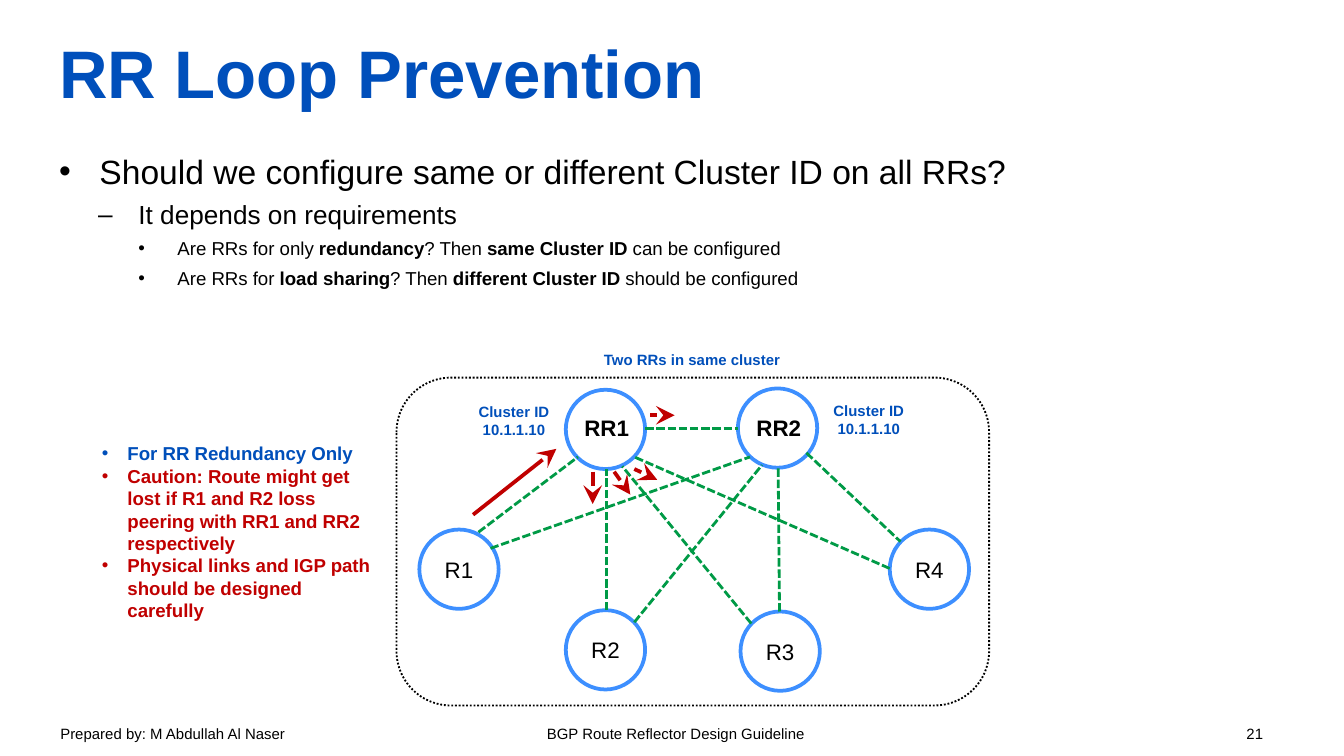
from lxml.etree import SubElement
from pptx import Presentation
from pptx.dml.color import RGBColor
from pptx.enum.dml import MSO_LINE
from pptx.enum.shapes import MSO_CONNECTOR, MSO_SHAPE
from pptx.enum.text import MSO_ANCHOR, PP_ALIGN
from pptx.oxml.ns import qn
from pptx.util import Inches, Pt

BLACK, BLUE, RING = "000000", "004FBA", "3D8FFF"
GREEN, RED = "009A46", "C00000"
DIAMETER = 0.59


def rgb(value):
    return RGBColor.from_string(value)


class SlideBuilder:
    font = "Arial"

    def __init__(self, prs):
        self.slide = prs.slides.add_slide(prs.slide_layouts[5])
        self.shapes = self.slide.shapes

    def set_format(self, target, values):
        for name, value in values.items():
            setattr(target, name, value)

    def frame(self, sp, wrap=True, inset=None, anchor=MSO_ANCHOR.TOP):
        tf = sp.text_frame
        self.set_format(tf, {"word_wrap": wrap, "vertical_anchor": anchor})
        if inset is not None:
            sides = ("left", "right", "top", "bottom")
            self.set_format(tf, {f"margin_{side}": Inches(inset) for side in sides})
        return tf

    def paragraph(self, p, runs, size, color=BLACK, align=PP_ALIGN.LEFT,
                  before=0, bullet=None, indent=0, hang=0, tabs=()):
        pPr = p._p.get_or_add_pPr()
        if bullet:
            pPr.set("marL", str(Inches(indent)))
            pPr.set("indent", str(-Inches(hang)))
            SubElement(pPr, qn("a:buFont"), typeface=self.font)
            SubElement(pPr, qn("a:buChar"), char=bullet)
        if tabs:
            tab_list = SubElement(pPr, qn("a:tabLst"))
            for pos, algn in tabs:
                SubElement(tab_list, qn("a:tab"), pos=str(Inches(pos)), algn=algn)
        self.set_format(p, {"alignment": align, "space_before": Pt(before)})
        for text, bold in runs:
            r = p.add_run()
            r.text = text
            self.set_format(r.font, {"name": self.font, "size": Pt(size), "bold": bold})
            r.font.color.rgb = rgb(color)

    def title(self, box, text, size, color):
        sp = self.shapes.title
        names = ("left", "top", "width", "height")
        self.set_format(sp, dict(zip(names, map(Inches, box))))
        tf = self.frame(sp, inset=0, anchor=MSO_ANCHOR.MIDDLE)
        self.paragraph(tf.paragraphs[0], [(text, True)], size, color)

    def text(self, box, paragraphs, wrap=True, inset=None):
        sp = self.shapes.add_textbox(*map(Inches, box))
        tf = self.frame(sp, wrap, inset)
        for i, values in enumerate(paragraphs):
            p = tf.add_paragraph() if i else tf.paragraphs[0]
            self.paragraph(p, **values)

    def label(self, box, *lines):
        self.text(box, [{"runs": [(line, True)], "size": 8, "color": BLUE,
                         "align": PP_ALIGN.CENTER} for line in lines], wrap=False)

    def outline(self, kind, box, color, width, dash=None):
        sp = self.shapes.add_shape(kind, *map(Inches, box))
        sp.shadow.inherit = False
        sp.fill.background()
        sp.line.color.rgb = rgb(color)
        self.set_format(sp.line, {"width": Pt(width), "dash_style": dash})
        return sp

    def circle(self, left, top):
        return self.outline(MSO_SHAPE.OVAL, (left, top, DIAMETER, DIAMETER), RING, 2)

    def router(self, name, left, top):
        tf = self.frame(self.circle(left, top), anchor=MSO_ANCHOR.MIDDLE)
        self.paragraph(tf.paragraphs[0], [(name, False)], 12, align=PP_ALIGN.CENTER)

    def reflector(self, name, left, top):
        self.circle(left, top)
        self.text((left + 0.04, 3.03, 0.54, 0.3),
                  [{"runs": [(name, True)], "size": 12}], wrap=False)

    def line(self, ends, color, width, dash=None, arrow=False):
        sp = self.shapes.add_connector(MSO_CONNECTOR.STRAIGHT, *map(Inches, ends))
        sp.line.color.rgb = rgb(color)
        self.set_format(sp.line, {"width": Pt(width), "dash_style": dash})
        if arrow:
            SubElement(sp.line._get_or_add_ln(), qn("a:tailEnd"),
                       type="stealth", w="lg", len="lg")
        SubElement(sp._element.spPr, qn("a:effectLst"))


def main():
    prs = Presentation()
    prs.slide_width = Inches(10)
    prs.slide_height = prs.slide_width * 9 // 16
    s = SlideBuilder(prs)

    s.title((0.44, 0.06, 9.13, 0.94), "RR Loop Prevention", 36, "004FBB")

    top_level = {"size": 18, "bullet": "•", "indent": 0.3, "hang": 0.3}
    second_level = {"size": 14, "bullet": "–", "indent": 0.59, "hang": 0.3, "before": 4}
    third_level = {"size": 10, "bullet": "•", "indent": 0.88, "hang": 0.29, "before": 4}
    question = "Should we configure same or different Cluster ID on all RRs?"
    body = [{"runs": [(question, False)], **top_level},
            {"runs": [("It depends on requirements", False)], **second_level}]
    for start, purpose, choice, end in (
            ("Are RRs for only ", "redundancy", "same Cluster ID ", "can be configured"),
            ("Are RRs for ", "load sharing", "different Cluster ID ", "should be configured")):
        runs = [(start, False), (purpose, True), ("? Then ", False),
                (choice, True), (end, False)]
        body.append({"runs": runs, **third_level})
    s.text((0.44, 1.12, 9.12, 4.13), body, inset=0)

    for name, left, top in (("R3", 5.51, 4.55), ("R1", 3.12, 3.94),
                            ("R2", 4.21, 4.54), ("R4", 6.62, 3.94)):
        s.router(name, left, top)
    for name, left, top in (("RR1", 4.21, 2.9), ("RR2", 5.49, 2.89)):
        s.reflector(name, left, top)

    peerings = (
        (3.56, 3.96, 4.3, 3.4), (4.51, 4.54, 4.51, 3.49), (5.59, 4.64, 4.63, 3.47),
        (5.8, 4.55, 5.79, 3.48), (6, 3.37, 6.7, 4.03), (3.65, 4.08, 5.58, 3.4),
        (6.62, 4.23, 4.72, 3.4), (4.72, 4.63, 5.67, 3.46), (4.8, 3.19, 5.49, 3.19))
    for ends in peerings:
        s.line(ends, GREEN, 1.5, MSO_LINE.SQUARE_DOT)

    updates = ((3.52, 3.83, 4.14, 3.34), (4.84, 3.09, 5.02, 3.09),
               (4.41, 3.51, 4.41, 3.75), (4.57, 3.51, 4.69, 3.68),
               (4.72, 3.49, 4.89, 3.57))
    for ends in updates:
        s.line(ends, RED, 2, arrow=True)

    for left, top in ((3.46, 2.95), (6.1, 2.94)):
        s.label((left, top, 0.73, 0.37), "Cluster ID", "10.1.1.10")
    s.outline(MSO_SHAPE.ROUNDED_RECTANGLE, (2.95, 2.81, 4.41, 2.44), BLACK, 1,
              MSO_LINE.ROUND_DOT)
    s.label((4.38, 2.56, 1.54, 0.24), "Two RRs in same cluster")

    notes = (
        ("For RR Redundancy Only", BLUE),
        ("Caution: Route might get lost if R1 and R2 loss peering with RR1 and RR2 "
         "respectively", RED),
        ("Physical links and IGP path should be designed carefully", RED))
    s.text((0.66, 3.24, 2.21, 1.45),
           [{"runs": [(text, True)], "size": 10, "color": color, "bullet": "•",
             "indent": 0.19, "hang": 0.19} for text, color in notes])

    footer = ("Prepared by: M Abdullah Al Naser\t"
              "BGP Route Reflector Design Guideline\t21")
    s.text((0.35, 5.34, 9.32, 0.25),
           [{"runs": [(footer, False)], "size": 8,
             "tabs": ((3.62, "l"), (8.95, "r"))}])

    prs.save("out.pptx")


if __name__ == "__main__":
    main()
